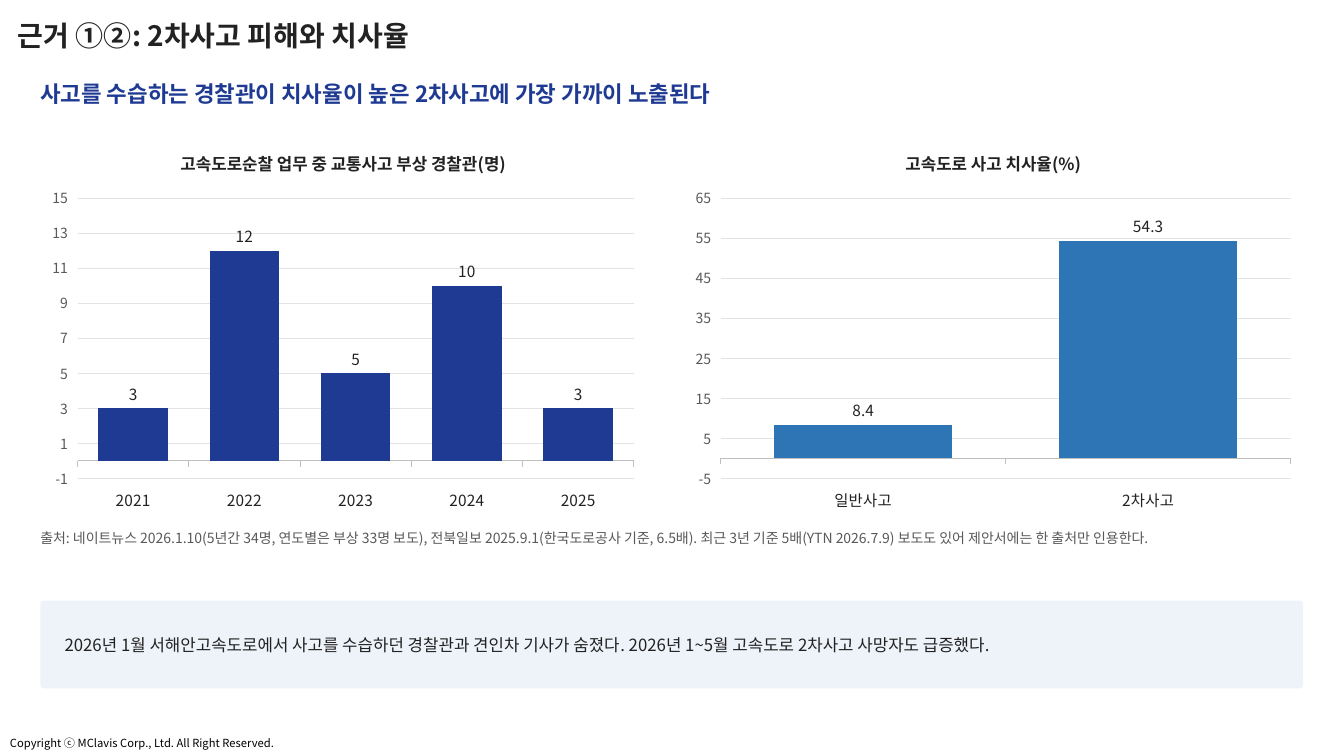
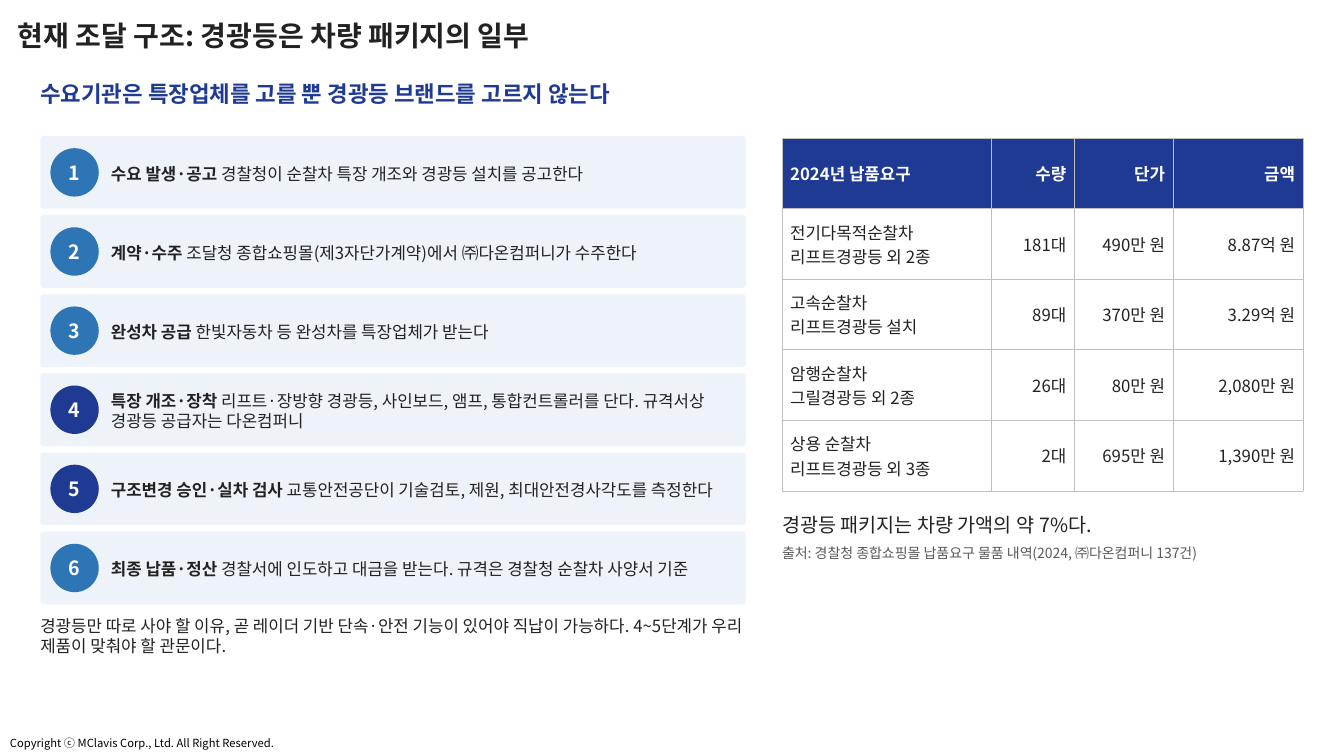
from dataclasses import dataclass

from lxml import etree
from pptx import Presentation
from pptx.chart.data import CategoryChartData
from pptx.dml.color import RGBColor
from pptx.enum.chart import XL_CHART_TYPE as ChartType
from pptx.enum.chart import XL_LABEL_POSITION as LabelPos
from pptx.enum.chart import XL_TICK_LABEL_POSITION as TickLabels
from pptx.enum.chart import XL_TICK_MARK as Tick
from pptx.enum.shapes import MSO_SHAPE as Shape
from pptx.enum.text import MSO_ANCHOR as Anchor
from pptx.enum.text import MSO_AUTO_SIZE as AutoSize
from pptx.enum.text import PP_ALIGN as Align
from pptx.oxml.ns import qn
from pptx.util import Pt

EMU_PER_PX = 4572  # 200 px to the inch


@dataclass(frozen=True)
class Theme:
    font: str = "Noto Sans CJK KR"
    ink: str = "222222"
    muted: str = "595959"
    black: str = "000000"
    white: str = "FFFFFF"
    navy: str = "1F3A93"
    blue: str = "2E75B6"
    panel: str = "EEF3FA"
    border: str = "BFBFBF"
    grid: str = "E3E3E3"
    title: int = 20
    subtitle: int = 16
    lead: int = 14
    body: int = 12
    label: int = 11
    small: int = 10
    footer: int = 8


T = Theme()
LEFT, WIDTH = 80, 2506


def px(*values):
    return [v * EMU_PER_PX for v in values]


def rgb(color):
    return RGBColor.from_string(color)


def set_font(font, size, color, bold=False):
    font.name, font.size, font.bold = T.font, Pt(size), bold
    font.color.rgb = rgb(color)


def write(tf, text, size=T.body, color=T.ink, bold=False, align=Align.LEFT,
          after=0, line=None, anchor=Anchor.TOP, inset=(0, 0), new=False):
    """Write one paragraph; text is a string or a list of (string, bold) runs."""
    tf.vertical_anchor = anchor
    tf.margin_left = tf.margin_right = px(inset[0])[0]
    tf.margin_top = tf.margin_bottom = px(inset[1])[0]
    p = tf.add_paragraph() if new else tf.paragraphs[0]
    p.alignment, p.space_after = align, Pt(after)
    if line:
        p.line_spacing = line
    for part, part_bold in [(text, bold)] if isinstance(text, str) else text:
        r = p.add_run()
        r.text = part
        set_font(r.font, size, color, part_bold)
        etree.SubElement(r.font._element, qn("a:ea"), typeface=T.font)


def add_text(slide, box, text, wrap=True, fit=True, **fmt):
    tf = slide.shapes.add_textbox(*px(*box)).text_frame
    tf.word_wrap = wrap
    tf.auto_size = AutoSize.TEXT_TO_FIT_SHAPE if fit else AutoSize.NONE
    write(tf, text, **fmt)
    return tf


def add_fill(slide, kind, box, color):
    sp = slide.shapes.add_shape(kind, *px(*box))
    sp.shadow.inherit = False
    sp.fill.solid()
    sp.fill.fore_color.rgb = rgb(color)
    sp.line.fill.background()
    return sp


def add_panel(slide, box):
    add_fill(slide, Shape.ROUNDED_RECTANGLE, box, T.panel).adjustments[0] = 0.04


def add_frame(prs, title, subtitle):
    """Add a slide with the shared footer, title and subtitle."""
    slide = prs.slides.add_slide(prs.slide_layouts[6])
    add_text(slide, (0, 1452, 566, 48), "Copyright ⓒ MClavis Corp., Ltd. All Right Reserved.",
             size=T.footer, color=T.black, wrap=False, fit=False, inset=(20, 10))
    add_text(slide, (16, 36, 2300, 78), title, size=T.title, bold=True, line=0.9,
             anchor=Anchor.MIDDLE, inset=(20, 10), fit=False)
    add_text(slide, (LEFT, 140, WIDTH, 92), subtitle, size=T.subtitle, color=T.navy,
             bold=True, after=4, anchor=Anchor.MIDDLE)
    return slide


def add_columns(slide, box, title, values, color, scale, number_format):
    """Add a column chart; scale is (minimum, maximum, step)."""
    data = CategoryChartData()
    data.categories = list(values)
    data.add_series("Series 1", list(values.values()))
    chart = slide.shapes.add_chart(ChartType.COLUMN_CLUSTERED, *px(*box), data).chart
    set_font(chart.font, T.label, T.ink)
    chart.has_legend = False
    write(chart.chart_title.text_frame, title, bold=True, align=Align.CENTER)

    plot = chart.plots[0]
    plot.gap_width, plot.vary_by_categories = 60, False
    fill = plot.series[0].format.fill
    fill.solid()
    fill.fore_color.rgb = rgb(color)
    plot.has_data_labels = True
    labels = plot.data_labels
    labels.show_value, labels.position = True, LabelPos.OUTSIDE_END
    labels.number_format, labels.number_format_is_linked = number_format, False
    set_font(labels.font, T.label, T.ink)

    cat, val = chart.category_axis, chart.value_axis
    cat.tick_label_position, cat.major_tick_mark = TickLabels.LOW, Tick.OUTSIDE
    set_font(cat.tick_labels.font, T.label, T.ink)
    set_font(val.tick_labels.font, T.small, T.muted)
    val.minimum_scale, val.maximum_scale, val.major_unit = scale
    val.major_tick_mark = Tick.OUTSIDE
    val.format.line.fill.background()
    for line, line_color in ((cat.format.line, T.border), (val.major_gridlines.format.line, T.grid)):
        line.color.rgb, line.width = rgb(line_color), Pt(0.75)


def add_step(slide, box, number, name, detail, color):
    x, y, w, h = box
    add_panel(slide, box)
    badge = add_fill(slide, Shape.OVAL, (x + 20, y + 24, 96, 96), color)
    write(badge.text_frame, str(number), size=T.lead, color=T.white, bold=True,
          align=Align.CENTER, anchor=Anchor.MIDDLE, inset=(16, 6))
    add_text(slide, (x + 140, y + 8, w - 162, h - 12), [(name, True), (" " + detail, False)],
             after=4, anchor=Anchor.MIDDLE)


def set_borders(cell):
    tc_pr = cell._tc.get_or_add_tcPr()
    for i, side in enumerate(("lnL", "lnR", "lnT", "lnB")):
        ln = etree.Element(qn("a:" + side), w=str(Pt(0.5)))
        fill = etree.SubElement(ln, qn("a:solidFill"))
        etree.SubElement(fill, qn("a:srgbClr"), val=T.border)
        tc_pr.insert(i, ln)


def add_grid(slide, left, top, widths, row_height, rows):
    """Add a table with a navy header row and right-aligned figures."""
    table = slide.shapes.add_table(len(rows), len(widths),
                                   *px(left, top, sum(widths), row_height * len(rows))).table
    for column, width in zip(table.columns, px(*widths)):
        column.width = width
    for i, row in enumerate(rows):
        for j, text in enumerate(row):
            cell, head = table.cell(i, j), i == 0
            cell.fill.solid()
            cell.fill.fore_color.rgb = rgb(T.navy if head else T.white)
            for n, line in enumerate(text.split("\n")):
                write(cell.text_frame, line, color=T.white if head else T.ink, bold=head,
                      align=Align.RIGHT if j else Align.LEFT, new=n > 0)
            cell.vertical_anchor = Anchor.MIDDLE
            cell.margin_left, cell.margin_right, cell.margin_top, cell.margin_bottom = px(16, 16, 8, 8)
            set_borders(cell)


def build_evidence(prs):
    slide = add_frame(prs, "근거 ①②: 2차사고 피해와 치사율",
                      "사고를 수습하는 경찰관이 치사율이 높은 2차사고에 가장 가까이 노출된다")
    add_columns(slide, (LEFT, 262, 1202, 766), "고속도로순찰 업무 중 교통사고 부상 경찰관(명)",
                {"2021": 3, "2022": 12, "2023": 5, "2024": 10, "2025": 3},
                T.navy, (-1, 15, 2), "0")
    add_columns(slide, (1356, 262, 1230, 766), "고속도로 사고 치사율(%)",
                {"일반사고": 8.4, "2차사고": 54.3}, T.blue, (-5, 65, 10), "0.0")
    add_text(slide, (LEFT, 1050, WIDTH, 154),
             "출처: 네이트뉴스 2026.1.10(5년간 34명, 연도별은 부상 33명 보도), "
             "전북일보 2025.9.1(한국도로공사 기준, 6.5배). 최근 3년 기준 5배(YTN 2026.7.9) "
             "보도도 있어 제안서에는 한 출처만 인용한다.",
             size=T.small, color=T.muted, after=4)
    add_panel(slide, (LEFT, 1192, WIDTH, 174))
    add_text(slide, (LEFT + 48, 1202, WIDTH - 96, 154),
             "2026년 1월 서해안고속도로에서 사고를 수습하던 경찰관과 견인차 기사가 숨졌다. "
             "2026년 1~5월 고속도로 2차사고 사망자도 급증했다.",
             after=4, anchor=Anchor.MIDDLE)


def build_procurement(prs):
    slide = add_frame(prs, "현재 조달 구조: 경광등은 차량 패키지의 일부",
                      "수요기관은 특장업체를 고를 뿐 경광등 브랜드를 고르지 않는다")
    steps = [
        ("수요 발생·공고", "경찰청이 순찰차 특장 개조와 경광등 설치를 공고한다", T.blue),
        ("계약·수주", "조달청 종합쇼핑몰(제3자단가계약)에서 ㈜다온컴퍼니가 수주한다", T.blue),
        ("완성차 공급", "한빛자동차 등 완성차를 특장업체가 받는다", T.blue),
        ("특장 개조·장착", "리프트·장방향 경광등, 사인보드, 앰프, 통합컨트롤러를 단다. "
         "규격서상 경광등 공급자는 다온컴퍼니", T.navy),
        ("구조변경 승인·실차 검사", "교통안전공단이 기술검토, 제원, 최대안전경사각도를 측정한다", T.navy),
        ("최종 납품·정산", "경찰서에 인도하고 대금을 받는다. 규격은 경찰청 순찰차 사양서 기준", T.blue),
    ]
    for i, (name, detail, color) in enumerate(steps):
        add_step(slide, (LEFT, 270 + i * 157, 1400, 144), i + 1, name, detail, color)
    add_text(slide, (LEFT, 1222, 1400, 154),
             "경광등만 따로 사야 할 이유, 곧 레이더 기반 단속·안전 기능이 있어야 직납이 가능하다. "
             "4~5단계가 우리 제품이 맞춰야 할 관문이다.", after=4)
    add_grid(slide, 1552, 274, (416, 164, 196, 258), 140, [
        ("2024년 납품요구", "수량", "단가", "금액"),
        ("전기다목적순찰차\n리프트경광등 외 2종", "181대", "490만 원", "8.87억 원"),
        ("고속순찰차\n리프트경광등 설치", "89대", "370만 원", "3.29억 원"),
        ("암행순찰차\n그릴경광등 외 2종", "26대", "80만 원", "2,080만 원"),
        ("상용 순찰차\n리프트경광등 외 3종", "2대", "695만 원", "1,390만 원"),
    ])
    tf = add_text(slide, (1552, 1018, 1034, 328), "경광등 패키지는 차량 가액의 약 7%다.",
                  size=T.lead, after=6)
    write(tf, "출처: 경찰청 종합쇼핑몰 납품요구 물품 내역(2024, ㈜다온컴퍼니 137건)",
          size=T.small, color=T.muted, after=6, new=True)


def main():
    prs = Presentation()
    prs.slide_width, prs.slide_height = px(2667, 1500)
    build_evidence(prs)
    build_procurement(prs)
    prs.save("out.pptx")


if __name__ == "__main__":
    main()
